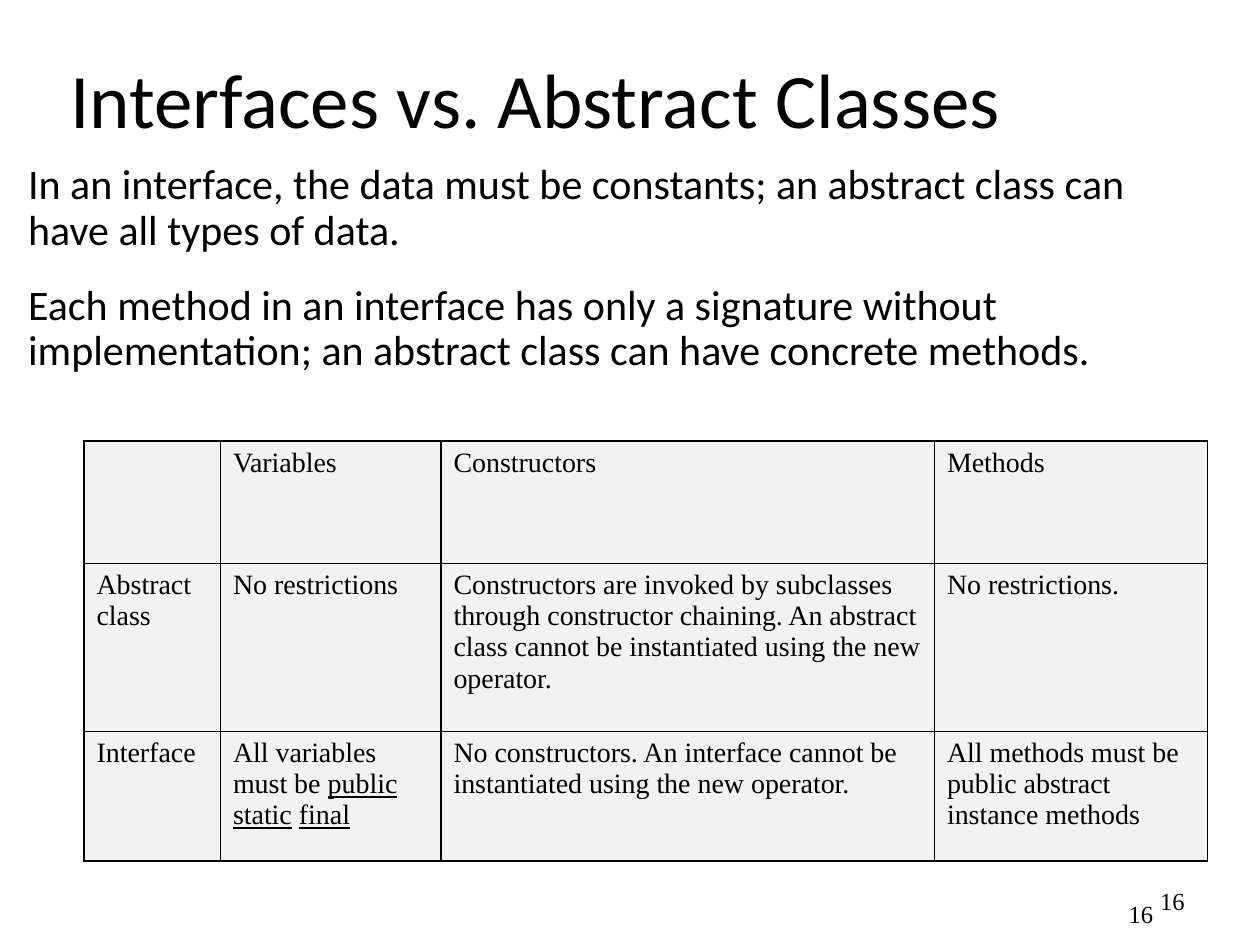
"""Build the slide that compares interfaces with abstract classes."""
import pptx
import pptx.dml.color
import pptx.enum.text
import pptx.oxml
import pptx.oxml.ns
import pptx.util

Pt = pptx.util.Pt
ALIGN = pptx.enum.text.PP_ALIGN
MIDDLE = pptx.enum.text.MSO_ANCHOR.MIDDLE
COLORS = {"text": "000000", "border": "000000", "cell": "F2F2F2"}
HEADING_FONT, TABLE_FONT = "Calibri", "Times New Roman"
STATEMENTS = [
    "In an interface, the data must be constants; an abstract class can have all types of data.",
    "Each method in an interface has only a signature without implementation; "
    "an abstract class can have concrete methods.",
]
COLUMN_WIDTHS = [78, 126, 282, 156]
ROW_HEIGHTS = [70, 96, 74]
UNDERLINE_MARK = "_"
CELLS = [
    ["", "Variables", "Constructors", "Methods"],
    ["Abstract class", "No restrictions",
     "Constructors are invoked by subclasses through constructor chaining. "
     "An abstract class cannot be instantiated using the new operator.",
     "No restrictions."],
    ["Interface", "All variables must be _public_ _static_ _final_",
     "No constructors. An interface cannot be instantiated using the new operator.",
     "All methods must be public abstract instance methods"],
]


def rgb(name):
    """Return the named colour."""
    return pptx.dml.color.RGBColor.from_string(COLORS[name])


def format_runs(paragraph, font_name, size):
    """Give every run of a paragraph its font, size and colour."""
    for run in paragraph.runs:
        run.font.name = font_name
        run.font.size = Pt(size)
        run.font.color.rgb = rgb("text")


def place_title(slide, left, top, width, height):
    """Move and format the title placeholder."""
    title = slide.shapes.title
    title.left, title.top, title.width, title.height = map(Pt, (left, top, width, height))
    title.text_frame.text = "Interfaces vs. Abstract Classes"
    title.text_frame.vertical_anchor = MIDDLE
    paragraph = title.text_frame.paragraphs[0]
    paragraph.alignment = ALIGN.CENTER
    format_runs(paragraph, HEADING_FONT, 44)


def add_statements(slide, left, top, width, height):
    """Add the two statements above the table."""
    box = slide.shapes.add_textbox(*map(Pt, (left, top, width, height)))
    box.text_frame.word_wrap = True
    box.text_frame.text = "\n".join(STATEMENTS)
    for paragraph in box.text_frame.paragraphs:
        paragraph.line_spacing = 0.9
        paragraph.space_before = Pt(4.8)
        paragraph.space_after = Pt(12)
        paragraph._p.get_or_add_pPr().set("marL", str(Pt(9)))
        format_runs(paragraph, HEADING_FONT, 24)


def add_page_number(slide, left, top, width, height):
    """Add a right-aligned page number."""
    box = slide.shapes.add_textbox(*map(Pt, (left, top, width, height)))
    box.text_frame.word_wrap = True
    box.text_frame.vertical_anchor = MIDDLE
    box.text_frame.text = "16"
    paragraph = box.text_frame.paragraphs[0]
    paragraph.alignment = ALIGN.RIGHT
    format_runs(paragraph, TABLE_FONT, 14)


def format_cell(cell, text):
    """Fill, border and write one cell, underlining the marked words."""
    properties = cell._tc.get_or_add_tcPr()
    for side in ("lnL", "lnR", "lnT", "lnB"):
        properties.append(pptx.oxml.parse_xml(
            f'<a:{side} {pptx.oxml.ns.nsdecls("a")} w="{Pt(1)}"><a:solidFill>'
            f'<a:srgbClr val="{COLORS["border"]}"/></a:solidFill></a:{side}>'))
    cell.fill.solid()
    cell.fill.fore_color.rgb = rgb("cell")
    paragraph = cell.text_frame.paragraphs[0]
    for index, part in enumerate(text.split(UNDERLINE_MARK)):
        if part:
            run = paragraph.add_run()
            run.text = part
            run.font.underline = index % 2 == 1
    format_runs(paragraph, TABLE_FONT, 16)


def add_comparison_table(slide, left, top):
    """Add the comparison table with its corner at the given point."""
    frame = slide.shapes.add_table(
        len(ROW_HEIGHTS), len(COLUMN_WIDTHS), Pt(left), Pt(top),
        Pt(sum(COLUMN_WIDTHS)), Pt(sum(ROW_HEIGHTS)))
    table = frame.table
    table.first_row = table.horz_banding = False
    for column, width in zip(table.columns, COLUMN_WIDTHS):
        column.width = Pt(width)
    for row, height, texts in zip(table.rows, ROW_HEIGHTS, CELLS):
        row.height = Pt(height)
        for cell, text in zip(row.cells, texts):
            format_cell(cell, text)


def main():
    """Build and save the presentation."""
    presentation = pptx.Presentation()
    presentation.slide_width, presentation.slide_height = Pt(720), Pt(540)
    slide = presentation.slides.add_slide(presentation.slide_layouts.get_by_name("Title Only"))
    add_page_number(slide, 516, 500.4, 168, 28.8)
    place_title(slide, 0, 0, 612, 112)
    add_statements(slide, 0, 90, 684, 150)
    add_page_number(slide, 516, 504, 150, 36)
    add_comparison_table(slide, 48, 252)
    presentation.save("out.pptx")


main()
